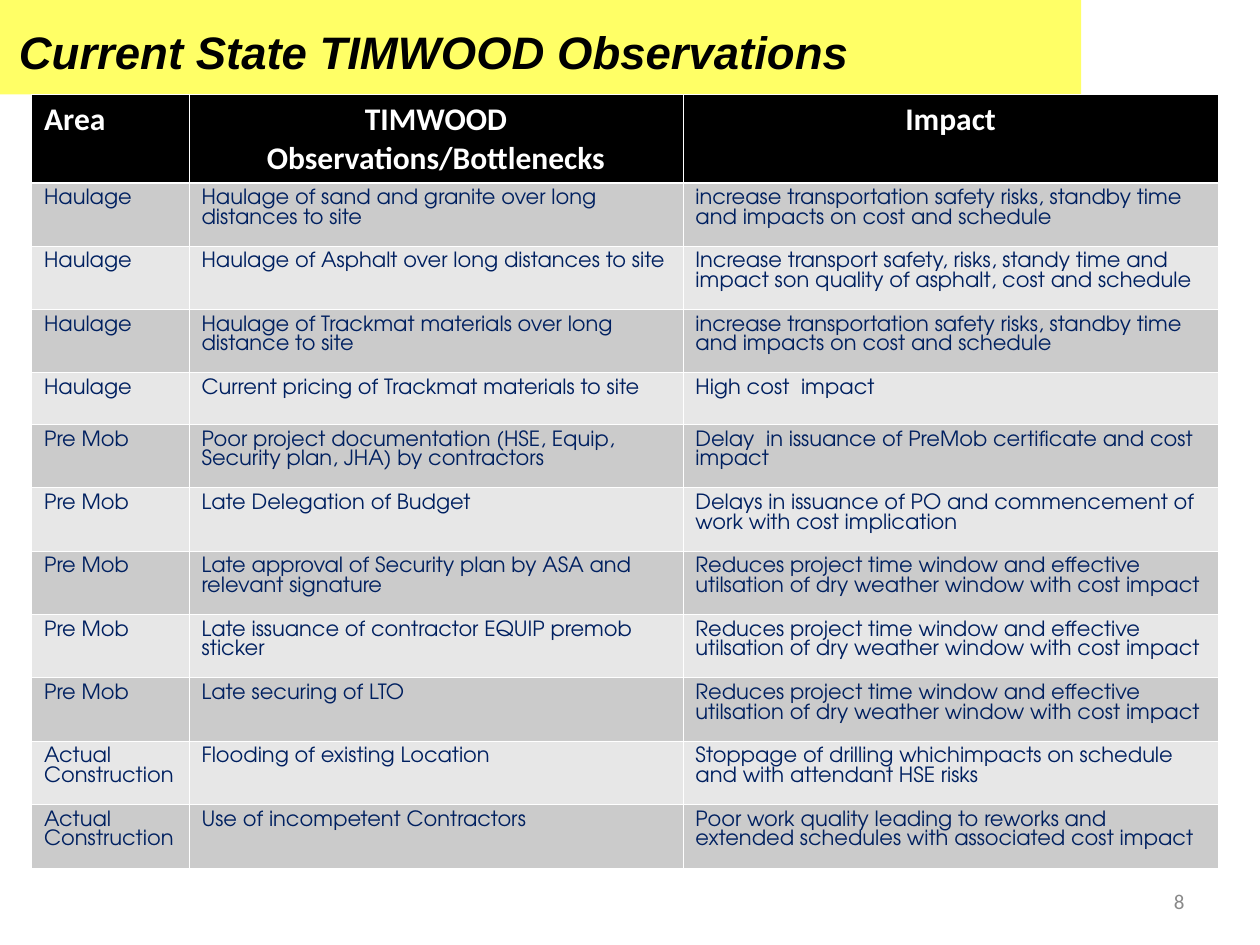
from dataclasses import dataclass

from lxml.etree import SubElement
from pptx import Presentation
from pptx.dml.color import RGBColor
from pptx.enum.shapes import MSO_SHAPE
from pptx.enum.text import MSO_ANCHOR, PP_ALIGN
from pptx.oxml.ns import qn
from pptx.util import Inches, Pt


@dataclass(frozen=True)
class Theme:
    banner: str = "FFFF66"
    title_text: str = "000000"
    header_fill: str = "000000"
    header_text: str = "FFFFFF"
    body_text: str = "002060"
    bands: tuple = ("CBCBCB", "E7E7E7")
    border: str = "FFFFFF"
    page_text: str = "898989"
    title_font: str = "Arial"
    header_font: str = "Calibri"
    body_font: str = "TeX Gyre Adventor"
    title_size: int = 26
    header_size: int = 18
    body_size: int = 12
    thin_line: float = 0.45
    header_line: float = 1.47


THEME = Theme()
HEADERS = ("Area", "TIMWOOD Observations/Bottlenecks", "Impact")
TRANSPORT_IMPACT = "increase transportation safety risks, standby time and impacts on cost and schedule"
WINDOW_IMPACT = ("Reduces project time window and effective utilsation of dry "
                 "weather window with cost impact")
OBSERVATIONS = (
    ("Haulage", "Haulage of sand and granite over long distances to site", TRANSPORT_IMPACT),
    ("Haulage", "Haulage of Asphalt over long distances to site",
     "Increase transport safety, risks, standy time and impact son quality of asphalt, "
     "cost and schedule"),
    ("Haulage", "Haulage of Trackmat materials over long distance to site", TRANSPORT_IMPACT),
    ("Haulage", "Current pricing of Trackmat materials to site", "High cost  impact"),
    ("Pre Mob", "Poor project documentation (HSE, Equip, Security plan, JHA) by contractors",
     "Delay  in issuance of PreMob certificate and cost impact"),
    ("Pre Mob", "Late Delegation of Budget",
     "Delays in issuance of PO and commencement of work with cost implication"),
    ("Pre Mob", "Late approval of Security plan by ASA and relevant signature", WINDOW_IMPACT),
    ("Pre Mob", "Late issuance of contractor EQUIP premob sticker", WINDOW_IMPACT),
    ("Pre Mob", "Late securing of LTO", WINDOW_IMPACT),
    ("Actual Construction", "Flooding of existing Location",
     "Stoppage of drilling whichimpacts on schedule and with attendant HSE risks"),
    ("Actual Construction", "Use of incompetent Contractors",
     "Poor work quality leading to reworks and extended schedules with associated cost impact"),
)
COLUMN_WIDTHS = (1.25, 3.92, 4.25)
HEADER_HEIGHT = 0.7
SHORT_ROW, SHORT_HEIGHT = 4, 0.41


def write_text(text_frame, text, font_name, size, color, bold=False, italic=False,
               alignment=PP_ALIGN.LEFT):
    paragraph = text_frame.paragraphs[0]
    paragraph.text = text
    paragraph.alignment = alignment
    font = paragraph.font
    font.name, font.size = font_name, Pt(size)
    font.bold, font.italic = bold, italic
    font.color.rgb = RGBColor.from_string(color)


def add_text_box(slide, box):
    text_frame = slide.shapes.add_textbox(*map(Inches, box)).text_frame
    text_frame.word_wrap = True
    return text_frame


def add_title_banner(slide, box):
    left, top, width, height = box
    banner = slide.shapes.add_shape(MSO_SHAPE.RECTANGLE, *map(Inches, box))
    banner.shadow.inherit = False
    banner.fill.solid()
    banner.fill.fore_color.rgb = RGBColor.from_string(THEME.banner)
    banner.line.fill.background()
    text_frame = add_text_box(slide, (left + 0.06, top + 0.14, width - 0.06, height - 0.22))
    text_frame.margin_left = text_frame.margin_right = Inches(0.09)
    write_text(text_frame, "Current State TIMWOOD Observations", THEME.title_font,
               THEME.title_size, THEME.title_text, bold=True, italic=True)


def set_borders(cell, top_width, bottom_width):
    """Draw all four cell edges; call before the cell is filled."""
    properties = cell._tc.get_or_add_tcPr()
    widths = {"L": THEME.thin_line, "R": THEME.thin_line, "T": top_width, "B": bottom_width}
    for side, width in widths.items():
        line = SubElement(properties, qn(f"a:ln{side}"), w=str(int(Pt(width))))
        fill = SubElement(line, qn("a:solidFill"))
        SubElement(fill, qn("a:srgbClr"), val=THEME.border)


def style_cell(cell, fill, top_width, bottom_width):
    set_borders(cell, top_width, bottom_width)
    cell.fill.solid()
    cell.fill.fore_color.rgb = RGBColor.from_string(fill)


def add_observation_table(slide, box):
    row_count = len(OBSERVATIONS) + 1
    table = slide.shapes.add_table(row_count, len(HEADERS), *map(Inches, box)).table
    table.horz_banding = False
    for column, width in zip(table.columns, COLUMN_WIDTHS):
        column.width = Inches(width)

    regular_height = (box[3] - HEADER_HEIGHT - SHORT_HEIGHT) / (row_count - 2)
    special_heights = {0: HEADER_HEIGHT, SHORT_ROW: SHORT_HEIGHT}
    for index, row in enumerate(table.rows):
        row.height = Inches(special_heights.get(index, regular_height))

    for column_index, header in enumerate(HEADERS):
        cell = table.cell(0, column_index)
        style_cell(cell, THEME.header_fill, THEME.thin_line, THEME.header_line)
        write_text(cell.text_frame, header, THEME.header_font, THEME.header_size,
                   THEME.header_text, bold=True,
                   alignment=PP_ALIGN.CENTER if column_index else PP_ALIGN.LEFT)

    for row_index, observation in enumerate(OBSERVATIONS, start=1):
        band = THEME.bands[(row_index - 1) % 2]
        top_width = THEME.header_line if row_index == 1 else THEME.thin_line
        for column_index, text in enumerate(observation):
            cell = table.cell(row_index, column_index)
            style_cell(cell, band, top_width, THEME.thin_line)
            write_text(cell.text_frame, text, THEME.body_font, THEME.body_size,
                       THEME.body_text)


def add_page_number(slide, box):
    text_frame = add_text_box(slide, box)
    text_frame.vertical_anchor = MSO_ANCHOR.MIDDLE
    write_text(text_frame, "8", THEME.header_font, THEME.body_size, THEME.page_text,
               alignment=PP_ALIGN.RIGHT)


def main():
    presentation = Presentation()
    presentation.slide_width, presentation.slide_height = Inches(10), Inches(7.5)
    slide = presentation.slides.add_slide(presentation.slide_layouts[6])
    add_title_banner(slide, (0, 0, 8.58, 0.75))
    add_observation_table(slide, (0.25, 0.75, sum(COLUMN_WIDTHS), 6.14))
    add_page_number(slide, (7.17, 6.95, 2.33, 0.4))
    presentation.save("out.pptx")


if __name__ == "__main__":
    main()
